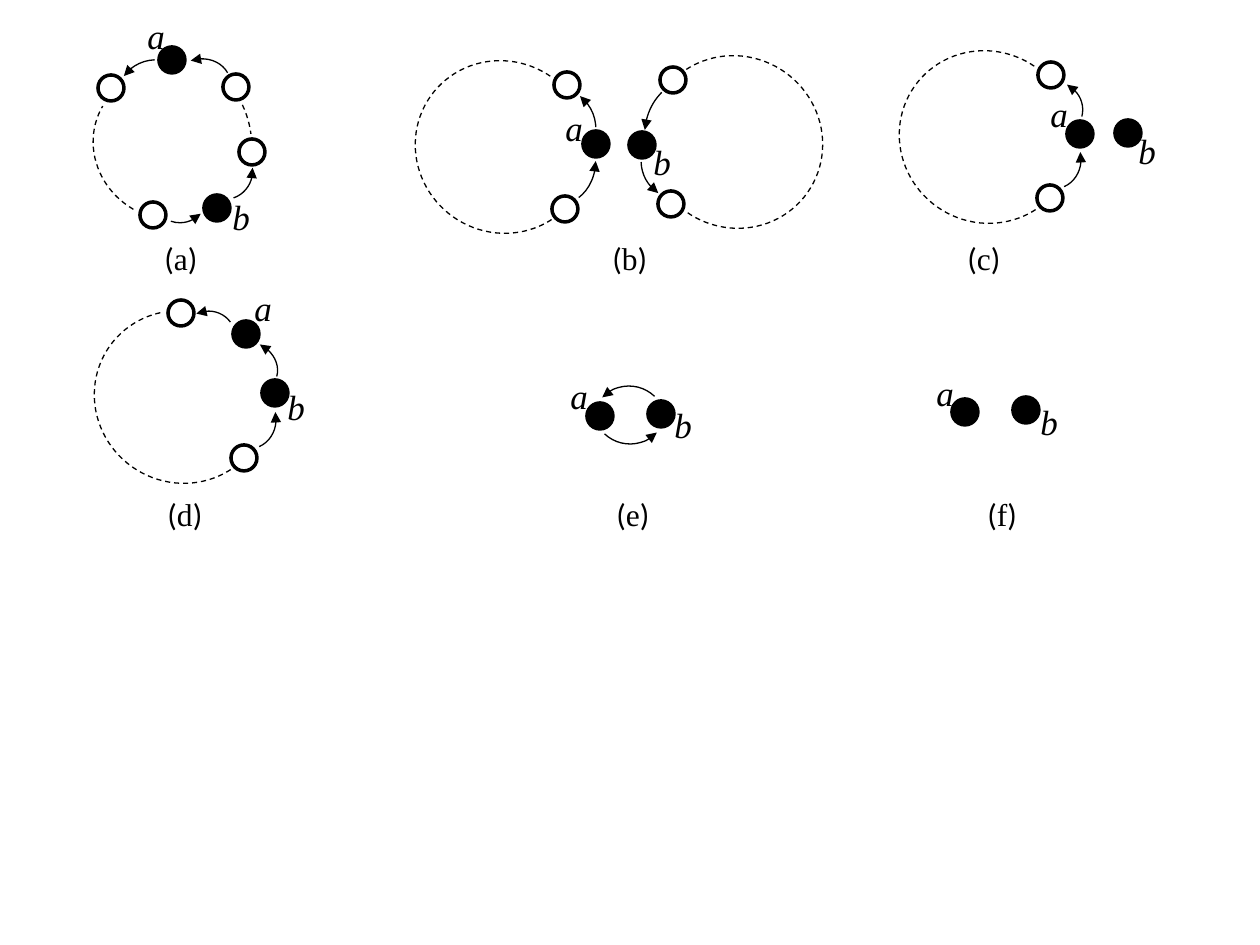
from lxml import etree
from pptx import Presentation
from pptx.dml.color import RGBColor
from pptx.enum.dml import MSO_LINE
from pptx.enum.shapes import MSO_SHAPE
from pptx.enum.text import MSO_AUTO_SIZE
from pptx.oxml.ns import qn
from pptx.util import Pt

ARC, DOT = MSO_SHAPE.ARC, MSO_SHAPE.OVAL
DASH, GROW = MSO_LINE.DASH, MSO_AUTO_SIZE.SHAPE_TO_FIT_TEXT
PX = 914400 // 126
INK = {"black": "000000", "white": "FFFFFF"}
SERIF, SANS = "Times New Roman", "Calibri"
SIZE = 26  # node diameter

# Nodes are centres; arcs are left, top, width, height, turn, start, end;
# tags are left, top of each node name; label is left, top, width
PANELS = {
    "a": dict(
        full=[(172, 60), (217, 208)],
        open=[(111, 88), (236, 87), (153, 215), (252, 152)],
        arrows=[(164, 60, 68, 59, 330.8, 285.16, 0),
                (194, 141, 60, 57, 71.4, 285.16, 0),
                (152, 166, 60, 55, 122.2, 285.16, 349.6),
                (120, 57, 77, 83, 287.9, 285.16, 336.62)],
        dashes=[(62, 49, 193, 176, 39.8, 299.26, 318.28),
                (92, 72, 156, 147, 210.4, 269.4, 0)],
        tags=[("a", 135, 8), ("b", 220, 189)],
        label=(152, 233, 81)),
    "b": dict(
        full=[(596, 144), (642, 145)],
        open=[(567, 85), (565, 209), (671, 204), (673, 80)],
        arrows=[(512, 87, 84, 83, 23.7, 285.16, 334.37),
                (509, 118, 95, 78, 80.8, 285.16, 340.5),
                (641, 123, 79, 77, 195.5, 289.71, 343.82),
                (639, 83, 123, 111, 255.5, 293.29, 334.48)],
        dashes=[(417, 59, 171, 176, 305.2, 110.63, 0),
                (650, 54, 171, 176, 125.2, 110.63, 0)],
        tags=[("a", 553, 100), ("b", 641, 134)],
        label=(600, 233, 94)),
    "c": dict(
        full=[(1080, 134), (1128, 133)],
        open=[(1051, 75), (1050, 198)],
        arrows=[(1023, 81, 60, 55, 15.5, 285.16, 0),
                (1018, 127, 66, 59, 66.4, 285.16, 0)],
        dashes=[(901, 49, 171, 176, 305.2, 110.63, 0)],
        tags=[("a", 1038, 86), ("b", 1126, 123)],
        label=(955, 233, 66)),
    "d": dict(
        full=[(246, 334), (275, 393)],
        open=[(244, 458), (181, 313)],
        arrows=[(214, 341, 64, 54, 15.5, 285.16, 0),
                (213, 387, 66, 59, 66.4, 285.16, 0),
                (176, 312, 60, 55, 324.4, 285.16, 0)],
        dashes=[(96, 309, 171, 176, 305.2, 110.63, 311.1)],
        tags=[("a", 242, 280), ("b", 275, 379)],
        label=(155, 489, 71)),
    "e": dict(
        full=[(600, 416), (661, 414)],
        arrows=[(592, 386, 74, 74, 313.8, 270, 0),
                (593, 370, 74, 74, 133.6, 270, 0)],
        tags=[("a", 558, 368), ("b", 662, 397)],
        label=(604, 489, 63)),
    "f": dict(
        full=[(965, 412), (1026, 410)],
        tags=[("a", 924, 365), ("b", 1028, 394)],
        label=(975, 489, 63)),
}

deck = Presentation()
deck.slide_width, deck.slide_height = 1260 * PX, 945 * PX
slide = deck.slides.add_slide(deck.slide_layouts[6])
shapes = slide.shapes


def color(name):
    return RGBColor.from_string(INK[name])


def draw(kind, box, width):
    shape = shapes.add_shape(kind, *[round(v * PX) for v in box])
    shape.shadow.inherit = False
    shape.line.color.rgb = color("black")
    shape.line.width = Pt(width)
    return shape


def node(x, y, fill):
    dot = draw(DOT, (x - SIZE / 2, y - SIZE / 2, SIZE, SIZE), 2)
    dot.fill.solid()
    dot.fill.fore_color.rgb = color(fill)


def curve(left, top, width, height, turn, start, end, arrow):
    arc = draw(ARC, (left, top, width, height), 0.75)
    arc.fill.background()
    arc.rotation = turn
    # Degrees to the 1/100000 scale of adjustments
    arc.adjustments[0] = start * 0.6
    arc.adjustments[1] = end * 0.6
    if arrow:
        line = arc._element.spPr.find(qn("a:ln"))
        etree.SubElement(line, qn("a:headEnd"), type="triangle")
    else:
        arc.line.dash_style = DASH


def write(box, runs, size, wrap, italic):
    frame = shapes.add_textbox(*[v * PX for v in box]).text_frame
    frame.word_wrap = wrap
    frame.auto_size = GROW
    for text, face in runs:
        run = frame.paragraphs[0].add_run()
        run.text = text
        run.font.name = face
        run.font.size = Pt(size)
        run.font.italic = italic
        run.font.color.rgb = color("black")


# Rings: nodes, arrows and dashed paths
for panel in PANELS.values():
    for key, fill in (("full", "black"), ("open", "white")):
        for x, y in panel.get(key, []):
            node(x, y, fill)
    for key in ("arrows", "dashes"):
        for arc in panel.get(key, []):
            curve(*arc, key == "arrows")

# Panel labels and node names
for name, panel in PANELS.items():
    left, top, width = panel["label"]
    runs = [("(", SANS), (name, SERIF), (")", SANS)]
    write((left, top, width, 50), runs, 18, True, False)
    for tag, x, y in panel["tags"]:
        write((x, y, 43, 55), [(tag, SERIF)], 20, False, True)

deck.save("out.pptx")
